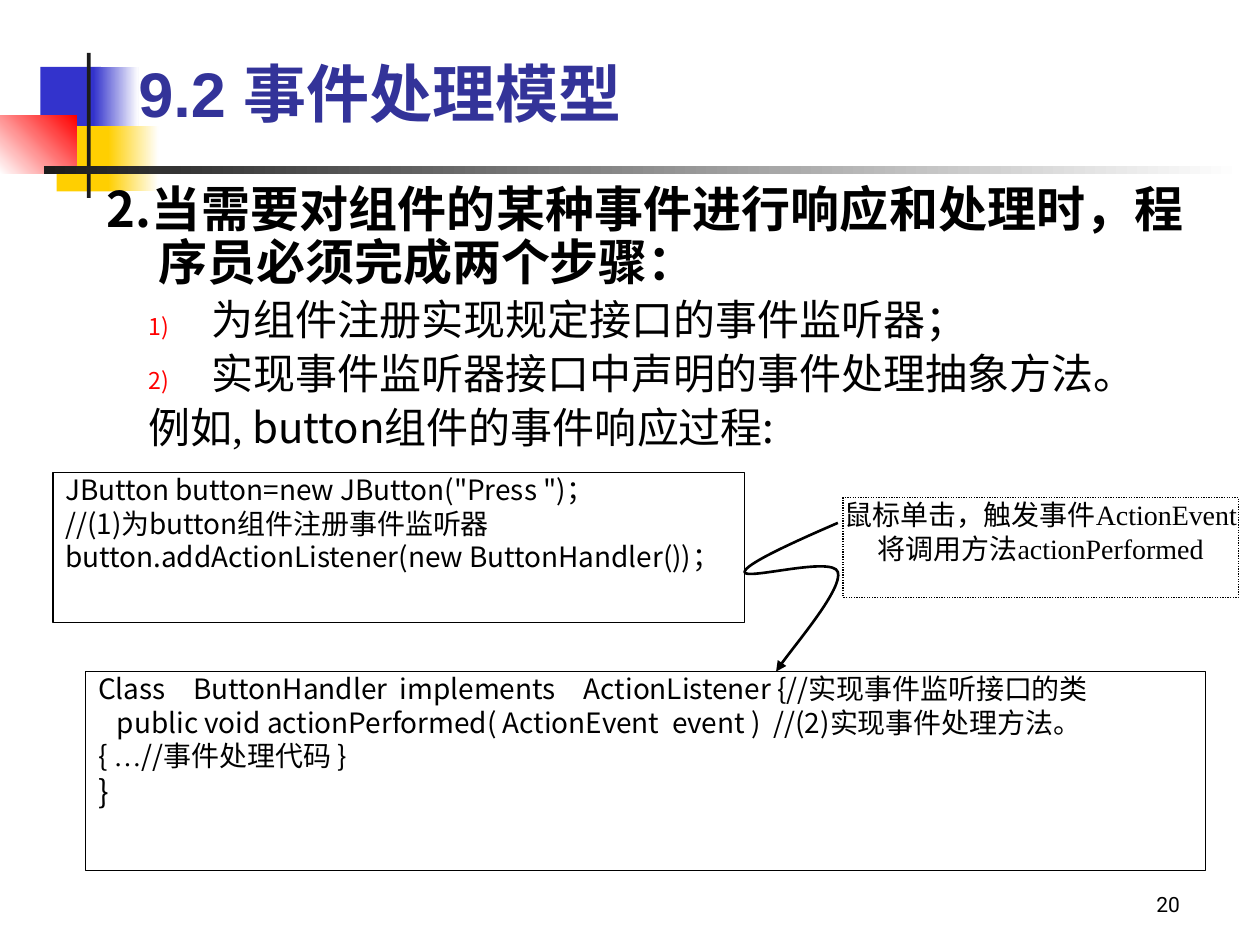
from lxml import etree
from pptx import Presentation
from pptx.dml.color import RGBColor
from pptx.enum import dml, shapes, text
from pptx.oxml import ns
from pptx.util import Inches, Pt

BLUE = RGBColor(0x33, 0x33, 0xCC)
YELLOW = RGBColor(0xFF, 0xCF, 0x01)
RED = RGBColor(0xFF, 0, 0)
WHITE = RGBColor(0xFF, 0xFF, 0xFF)
BLACK = RGBColor(0, 0, 0)
CHARCOAL = RGBColor(0x1C, 0x1C, 0x1C)
INDIGO = RGBColor(0x33, 0x33, 0x99)
SANS, SERIF = "Noto Sans CJK SC", "Times New Roman"
LEFT, CENTER, JUSTIFY = text.PP_ALIGN.LEFT, text.PP_ALIGN.CENTER, text.PP_ALIGN.JUSTIFY

DECORATION = [
    ((0.32, 0.53, 0.48, 0.52), [BLUE], 0),
    ((0.74, 0.53, 0.36, 0.52), [BLUE, WHITE], 0),
    ((0.45, 1, 0.46, 0.52), [YELLOW], 0),
    ((0.86, 1, 0.4, 0.52), [YELLOW, WHITE], 0),
    ((0, 0.92, 0.61, 0.46), [WHITE, RED], 45),
    ((0.69, 0.42, 0.03, 1.15), [CHARCOAL], 0),
    ((0.35, 1.32, 9.51, 0.06), [CHARCOAL, WHITE], 0),
]

TITLE = [{"runs": [("9.2 事件处理模型", "Arial")], "size": 36, "bold": True,
          "color": INDIGO, "align": LEFT}]
PAGE_NUMBER = [{"runs": [("20", "Roboto")], "size": 12, "align": LEFT}]

HEADING = {"size": 28, "bold": True, "margin": 0.58, "indent": -0.41,
           "line_spacing": 0.9, "space_before": Pt(5.6)}
STEP = {"size": 24, "margin": 1, "indent": -0.5,
        "line_spacing": 0.9, "space_before": Pt(4.8)}
BODY = [
    {"runs": [("2.", SANS),
              ("当需要对组件的某种事件进行响应和处理时，程序员必须完成两个步骤：", SERIF)], **HEADING},
    {"runs": [("为组件注册实现规定接口的事件监听器；", SANS)], "numbered": True, **STEP},
    {"runs": [("实现事件监听器接口中声明的事件处理抽象方法。", SANS)], "numbered": True, **STEP},
    {"runs": [("例如,", SERIF), (" button组件的事件响应过程:", SANS)], **STEP},
]

REGISTRATION = [
    {"runs": [('JButton button=new JButton("Press ")；', SANS)]},
    {"runs": [("//(1)为button组件注册事件监听器", SANS)]},
    {"runs": [("button.addActionListener(new ButtonHandler())；", SANS)]},
]
HANDLER = [
    {"runs": [("Class\u3000ButtonHandler  implements\u3000ActionListener {//实现事件监听接口的类", SANS)]},
    {"runs": [("public void actionPerformed( ActionEvent  event )  //(2)实现事件处理方法。", SANS)],
     "margin": 0.15},
    {"runs": [("{ ", SANS), ("…", SERIF), ("//事件处理代码 }", SANS)]},
    {"runs": [("}", SANS)], "size": 18},
]
CALLOUT = [
    {"runs": [("鼠标单击，触发事件ActionEvent", SERIF)], "align": CENTER},
    {"runs": [("将调用方法actionPerformed", SERIF)], "align": CENTER},
]

CURVE_START = (665, 415)
CURVE_SEGMENTS = [
    [(628, 431), (591, 448), (591, 454)],
    [(591, 461), (661, 441), (665, 454)],
    [(669, 467), (624, 520), (616, 533)],
]


def set_all(target, values):
    for name, value in values.items():
        setattr(target, name, value)


def add_xml(parent, tag, **attributes):
    return etree.SubElement(parent, ns.qn(tag), attributes)


def write(frame, paragraphs, insets=(0.1, 0.05), anchor=text.MSO_ANCHOR.TOP):
    side, end = map(Inches, insets)
    set_all(frame, {"word_wrap": True, "vertical_anchor": anchor,
                    "margin_left": side, "margin_right": side,
                    "margin_top": end, "margin_bottom": end})
    for number, content in enumerate(paragraphs):
        paragraph = frame.add_paragraph() if number else frame.paragraphs[0]
        set_all(paragraph, {"alignment": content.get("align", JUSTIFY),
                            "line_spacing": content.get("line_spacing"),
                            "space_before": content.get("space_before")})
        properties = paragraph._p.get_or_add_pPr()
        properties.set("marL", str(Inches(content.get("margin", 0))))
        properties.set("indent", str(Inches(content.get("indent", 0))))
        if content.get("numbered"):
            add_xml(add_xml(properties, "a:buClr"), "a:srgbClr", val=str(RED))
            add_xml(properties, "a:buSzPct", val="55000")
            add_xml(properties, "a:buAutoNum", type="arabicParenR")
        for words, face in content["runs"]:
            run = paragraph.add_run()
            run.text = words
            set_all(run.font, {"name": face, "size": Pt(content.get("size", 16)),
                               "bold": content.get("bold", False)})
            run.font.color.rgb = content.get("color", BLACK)
            add_xml(run._r.get_or_add_rPr(), "a:ea", typeface=SANS)


def add_rectangle(slide, box, colors, angle=0):
    rectangle = slide.shapes.add_shape(shapes.MSO_SHAPE.RECTANGLE, *map(Inches, box))
    rectangle.shadow.inherit = False
    rectangle.line.fill.background()
    if len(colors) == 1:
        rectangle.fill.solid()
        rectangle.fill.fore_color.rgb = colors[0]
    else:
        rectangle.fill.gradient()
        rectangle.fill.gradient_angle = angle
        for stop, color in zip(rectangle.fill.gradient_stops, colors):
            stop.color.rgb = color
    return rectangle


def add_label(slide, box, paragraphs, **options):
    label = slide.shapes.add_textbox(*map(Inches, box))
    write(label.text_frame, paragraphs, **options)


def add_panel(slide, box, paragraphs, insets, dash=None):
    panel = add_rectangle(slide, box, [WHITE])
    panel.line.color.rgb = BLACK
    set_all(panel.line, {"width": Pt(0.75), "dash_style": dash})
    write(panel.text_frame, paragraphs, insets)


def add_curved_arrow(slide, start, segments):
    builder = slide.shapes.build_freeform(*start, scale=Inches(0.01))
    ends = [segment[-1] for segment in segments]
    builder.add_line_segments(ends, close=False)
    arrow = builder.convert_to_shape()
    left = min(x for x, y in [start, *ends])
    top = min(y for x, y in [start, *ends])
    straight_lines = list(arrow._element.iter(ns.qn("a:lnTo")))
    for straight, points in zip(straight_lines, segments):
        straight.tag = ns.qn("a:cubicBezTo")
        for point in list(straight):
            straight.remove(point)
        for x, y in points:
            add_xml(straight, "a:pt", x=str(x - left), y=str(y - top))
    arrow.shadow.inherit = False
    arrow.fill.background()
    arrow.line.color.rgb = BLACK
    arrow.line.width = Pt(1.5)
    add_xml(arrow.line._get_or_add_ln(), "a:tailEnd", type="triangle")


def main():
    presentation = Presentation()
    set_all(presentation, {"slide_width": Inches(10), "slide_height": Inches(7.5)})
    slide = presentation.slides.add_slide(presentation.slide_layouts[6])
    add_label(slide, (9.08, 7.03, 0.83, 0.3), PAGE_NUMBER)
    for box, colors, angle in DECORATION:
        add_rectangle(slide, box, colors, angle)
    add_label(slide, (1, 0.08, 8.58, 1), TITLE, anchor=text.MSO_ANCHOR.BOTTOM)
    add_label(slide, (0.58, 1.42, 8.92, 2.08), BODY)
    add_panel(slide, (0.42, 3.75, 5.49, 1.19), REGISTRATION, (0.1, 0))
    add_panel(slide, (0.68, 5.33, 8.89, 1.58), HANDLER, (0.1, 0))
    add_curved_arrow(slide, CURVE_START, CURVE_SEGMENTS)
    add_panel(slide, (6.69, 3.95, 3.14, 0.79), CALLOUT, (0, 0),
              dml.MSO_LINE.ROUND_DOT)
    presentation.save("out.pptx")


if __name__ == "__main__":
    main()
